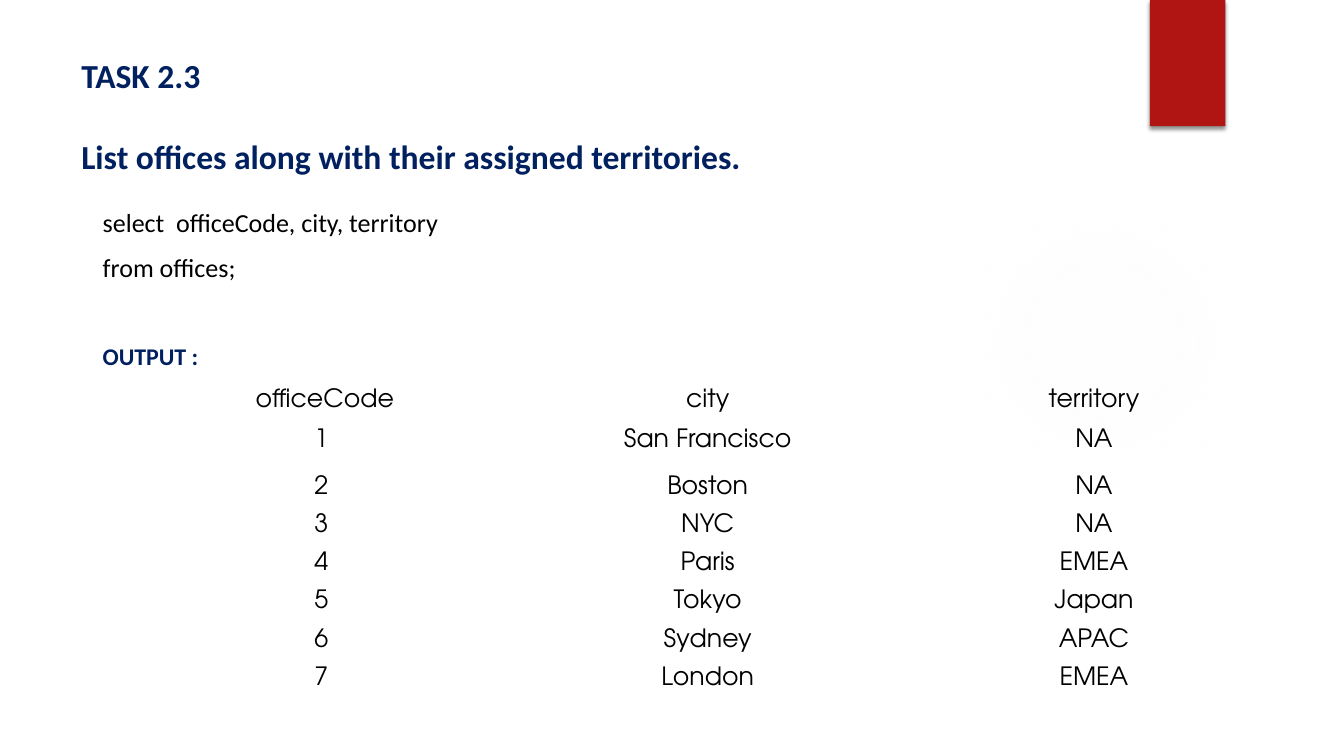
from lxml import etree
from pptx import Presentation
from pptx.dml.color import RGBColor
from pptx.enum.shapes import MSO_SHAPE
from pptx.enum.text import MSO_ANCHOR, PP_ALIGN
from pptx.oxml import parse_xml
from pptx.oxml.ns import qn
from pptx.util import Cm, Pt

RECTANGLE, ELLIPSE = MSO_SHAPE.RECTANGLE, MSO_SHAPE.OVAL
TOP, MIDDLE = MSO_ANCHOR.TOP, MSO_ANCHOR.MIDDLE
LEFT, CENTER = PP_ALIGN.LEFT, PP_ALIGN.CENTER

NAVY = RGBColor(0x00, 0x20, 0x60)
BLACK = RGBColor(0x00, 0x00, 0x00)
RED = RGBColor(0xB0, 0x15, 0x13)
GLOW_GREY = RGBColor(0xF3, 0xF3, 0xF3)

DRAWING_NS = "http://schemas.openxmlformats.org/drawingml/2006/main"
PLAIN_TABLE_STYLE = "{2D5ABB26-0587-4C30-8999-92F81FD0307C}"

HEADING = {"name": "Calibri", "size": Pt(24), "bold": True}
QUERY = {"name": "Calibri", "size": Pt(18.6), "bold": False}
LABEL = {"name": "Calibri", "size": Pt(17.1), "bold": True}
RESULT = {"name": "TeX Gyre Adventor", "size": Pt(18), "bold": False}

# Each column's heading shares the first row with the first office
HEADERS = [" officeCode", "city", "territory"]
OFFICES = [
    ("1", "San Francisco", "NA"),
    ("2", "Boston", "NA"),
    ("3", "NYC", "NA"),
    ("4", "Paris", "EMEA"),
    ("5", "Tokyo", "Japan"),
    ("6", "Sydney", "APAC"),
    ("7", "London", "EMEA"),
]


def write_lines(frame, lines, align=LEFT):
    """Fill a text frame with (text, font format, colour, space before) lines."""
    for index, (text, font_format, color, gap) in enumerate(lines):
        para = frame.add_paragraph() if index else frame.paragraphs[0]
        para.alignment = align
        para.space_before = Pt(gap)
        span = para.add_run()
        span.text = text
        for attribute, value in font_format.items():
            setattr(span.font, attribute, value)
        span.font.color.rgb = color


def add_text(page, left, top, width, height, lines):
    box = page.shapes.add_textbox(Cm(left), Cm(top), Cm(width), Cm(height))
    box.text_frame.word_wrap = True
    box.text_frame.vertical_anchor = TOP
    write_lines(box.text_frame, lines)


def add_plain_shape(page, kind, left, top, width, height, color):
    shape = page.shapes.add_shape(kind, Cm(left), Cm(top), Cm(width), Cm(height))
    shape.shadow.inherit = False
    shape.fill.solid()
    shape.fill.fore_color.rgb = color
    shape.line.fill.background()
    return shape


def add_glow(page):
    """Faint disc that fades out towards its edge."""
    disc = add_plain_shape(page, ELLIPSE, 23.9, 4.65, 7.82, 7.82, GLOW_GREY)
    stops = "".join(
        f'<a:gs pos="{position * 1000}"><a:srgbClr val="{GLOW_GREY}">'
        f'<a:alpha val="{opacity * 1000}"/></a:srgbClr></a:gs>'
        for position, opacity in [(0, 7), (36, 6), (69, 0)]
    )
    gradient = parse_xml(
        f'<a:gradFill xmlns:a="{DRAWING_NS}"><a:gsLst>{stops}</a:gsLst>'
        '<a:path path="circle"><a:fillToRect l="50000" t="50000" r="50000" b="50000"/>'
        "</a:path></a:gradFill>"
    )
    properties = disc.element.spPr
    properties.replace(properties.find(qn("a:solidFill")), gradient)


def add_ribbon(page):
    """Red tab at the top edge with a soft shadow below it."""
    ribbon = add_plain_shape(page, RECTANGLE, 28.98, 0, 1.9, 3.18, RED)
    effects = ribbon.element.spPr.find(qn("a:effectLst"))
    shadow = etree.SubElement(
        effects, qn("a:outerShdw"), blurRad=str(Pt(3)), dist=str(Pt(2)),
        dir="5400000", rotWithShape="0",
    )
    color = etree.SubElement(shadow, qn("a:srgbClr"), val="000000")
    etree.SubElement(color, qn("a:alpha"), val="45000")


def add_result_table(page):
    row_heights = [2.41] + [0.96] * len(OFFICES)
    table = page.shapes.add_table(
        len(row_heights), len(HEADERS),
        Cm(3.23), Cm(9.4), Cm(29.21), Cm(sum(row_heights)),
    ).table
    table.first_row = table.horz_banding = False
    table._tbl.tblPr.find(qn("a:tableStyleId")).text = PLAIN_TABLE_STYLE
    for row, height in zip(table.rows, row_heights):
        row.height = Cm(height)
    for cell in table.iter_cells():
        cell.fill.background()
        cell.vertical_anchor = MIDDLE
        cell.margin_top = cell.margin_bottom = 0
    for row_index, office in enumerate(OFFICES):
        for column, value in enumerate(office):
            lines = [(value, RESULT, BLACK, 0)]
            if row_index == 0:
                lines = [(HEADERS[column], RESULT, BLACK, 0), (value, RESULT, BLACK, 12)]
            write_lines(table.cell(row_index, column).text_frame, lines, CENTER)
    # The last row stays empty, at the same text size
    for column in range(len(HEADERS)):
        table.cell(len(OFFICES), column).text_frame.paragraphs[0].font.size = RESULT["size"]


def main():
    deck = Presentation()
    deck.slide_width, deck.slide_height = Cm(33.87), Cm(19.05)
    page = deck.slides.add_slide(deck.slide_layouts[6])

    # Decoration
    add_glow(page)
    add_ribbon(page)

    # Task heading
    add_text(page, 1.8, 1.27, 26.14, 3.89, [
        ("TASK 2.3", HEADING, NAVY, 0),
        ("List offices along with their assigned territories.", HEADING, NAVY, 29),
    ])

    # Query and output label
    add_text(page, 2.34, 5.08, 29.21, 3.91, [
        ("select  officeCode, city, territory", QUERY, BLACK, 0),
        ("from offices;", QUERY, BLACK, 9.5),
        ("OUTPUT :", LABEL, NAVY, 42),
    ])

    # Query result
    add_result_table(page)

    deck.save("out.pptx")


if __name__ == "__main__":
    main()
